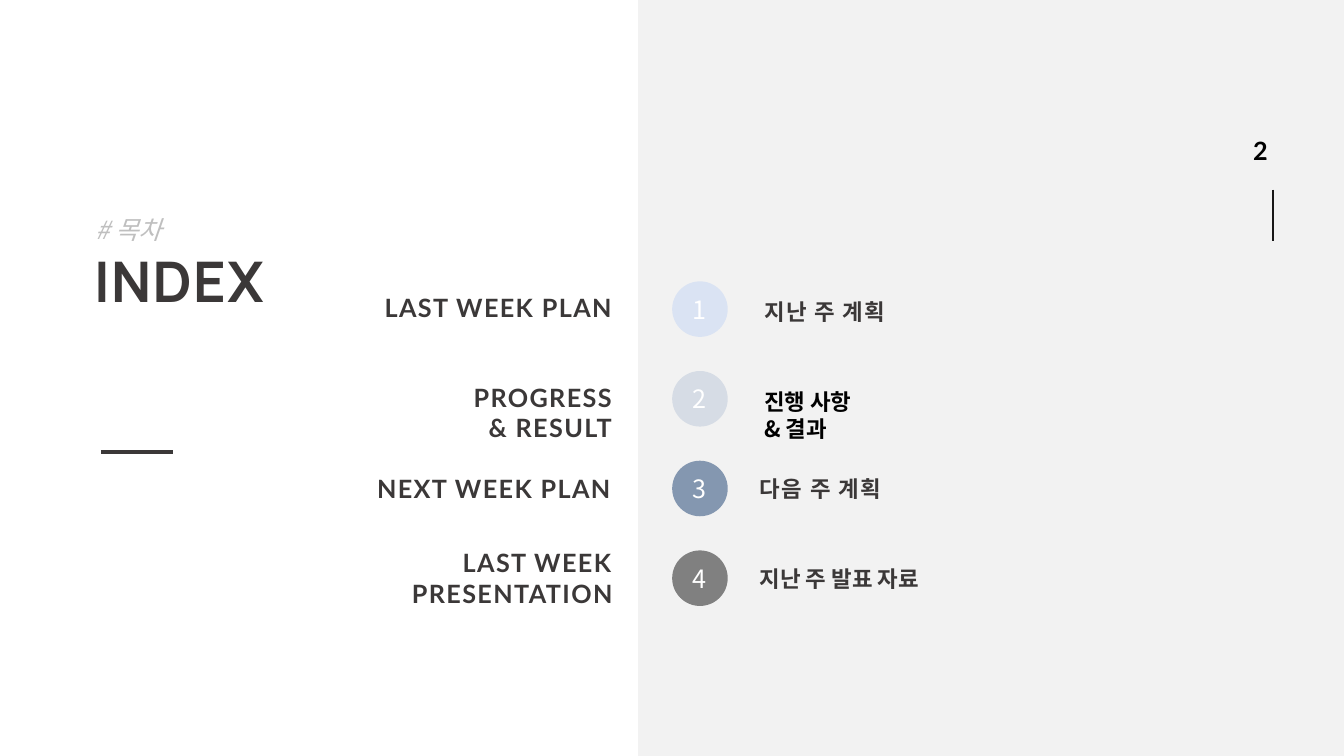
from dataclasses import dataclass

from lxml.etree import SubElement
from pptx import Presentation
from pptx.dml.color import RGBColor
from pptx.enum.shapes import MSO_CONNECTOR, MSO_SHAPE
from pptx.enum.text import MSO_ANCHOR, MSO_AUTO_SIZE, PP_ALIGN
from pptx.oxml.ns import qn
from pptx.shapes.autoshape import Shape
from pptx.slide import Slide
from pptx.util import Cm, Pt


@dataclass(frozen=True)
class Theme:
    ink: str = "3B3838"
    black: str = "000000"
    white: str = "FFFFFF"
    panel: str = "F2F2F2"
    muted: str = "BFBFBF"
    marker: str = "181717"
    latin: str = "Lato"
    korean: str = "Noto Sans CJK KR"
    heading: str = "Manrope"
    title_size: float = 40
    label_size: float = 18
    korean_size: float = 16
    inset: float = 0.13


@dataclass(frozen=True)
class Box:
    left: float
    top: float
    width: float
    height: float


@dataclass(frozen=True)
class TextStyle:
    font: str
    size: float
    color: str
    bold: bool = False
    italic: bool = False
    tracking: float = 0
    align: PP_ALIGN = PP_ALIGN.LEFT


@dataclass(frozen=True)
class Entry:
    english: str
    korean: str
    fill: str
    english_right: float
    english_drop: float
    korean_left: float
    korean_drop: float
    korean_color: str
    korean_tracking: float


THEME = Theme()
ROW_TOP, ROW_STEP = 7.09, 2.26
CIRCLE_LEFT, CIRCLE_SIZE = 16.94, 1.4
ENGLISH_WIDTH, KOREAN_WIDTH = 8.45, 6.8

TITLE = TextStyle(THEME.heading, THEME.title_size, THEME.ink, bold=True, tracking=1)
TAG = TextStyle(THEME.korean, THEME.label_size, THEME.muted, italic=True)
PAGE = TextStyle(THEME.latin, THEME.label_size, THEME.black, bold=True)
NUMBER = TextStyle(THEME.korean, THEME.label_size, THEME.white, align=PP_ALIGN.CENTER)
ENGLISH = TextStyle(THEME.latin, THEME.label_size, THEME.ink, bold=True,
                    tracking=1, align=PP_ALIGN.RIGHT)

ENTRIES = [
    Entry("LAST WEEK PLAN", "지난 주 계획", "DAE3F3",
          15.55, 0.15, 19.13, 0.3, THEME.ink, 1),
    Entry("PROGRESS\n& RESULT", "진행 사항\n& 결과", "D6DCE5",
          15.55, 0.15, 19.13, 0.3, THEME.black, 0),
    Entry("NEXT WEEK PLAN", "다음 주 계획", "8497B0",
          15.52, 0.18, 19.02, 0.23, THEME.ink, 1),
    Entry("LAST WEEK PRESENTATION", "지난 주 발표 자료", "808080",
          15.57, -0.2, 19.02, 0.23, THEME.ink, 0),
]


def write(sp: Shape, text: str, style: TextStyle,
          anchor: MSO_ANCHOR = MSO_ANCHOR.TOP, wrap: bool = True) -> None:
    tf = sp.text_frame
    tf.text = text
    tf.word_wrap = wrap
    tf.auto_size = MSO_AUTO_SIZE.NONE
    tf.vertical_anchor = anchor
    tf.margin_left = tf.margin_right = Cm(THEME.inset)
    tf.margin_top = tf.margin_bottom = Cm(THEME.inset)
    for p in tf.paragraphs:
        p.alignment = style.align
        for r in p.runs:
            r.font.size = Pt(style.size)
            r.font.bold = style.bold
            r.font.italic = style.italic
            r.font.color.rgb = RGBColor.from_string(style.color)
            r.font.name = style.font
            props = r.font._element
            SubElement(props, qn("a:ea")).set("typeface", style.font)
            if style.tracking:
                props.set("spc", str(int(style.tracking * 100)))


def add_text(s: Slide, box: Box, text: str, style: TextStyle, wrap: bool = True) -> Shape:
    sp = s.shapes.add_textbox(Cm(box.left), Cm(box.top), Cm(box.width), Cm(box.height))
    write(sp, text, style, wrap=wrap)
    return sp


def add_filled(s: Slide, kind: MSO_SHAPE, box: Box, color: str) -> Shape:
    sp = s.shapes.add_shape(kind, Cm(box.left), Cm(box.top), Cm(box.width), Cm(box.height))
    sp.shadow.inherit = False
    sp.fill.solid()
    sp.fill.fore_color.rgb = RGBColor.from_string(color)
    sp.line.fill.background()
    return sp


def add_rule(s: Slide, x1: float, y1: float, x2: float, y2: float,
             color: str, weight: float) -> None:
    line = s.shapes.add_connector(MSO_CONNECTOR.STRAIGHT, Cm(x1), Cm(y1), Cm(x2), Cm(y2))
    line.line.color.rgb = RGBColor.from_string(color)
    line.line.width = Pt(weight)
    SubElement(line._element.spPr, qn("a:effectLst"))


def add_title(s: Slide, box: Box, text: str) -> None:
    sp = s.shapes.title
    sp.left, sp.top = Cm(box.left), Cm(box.top)
    sp.width, sp.height = Cm(box.width), Cm(box.height)
    write(sp, text, TITLE)
    sp.text_frame.paragraphs[0].line_spacing = 0.9


def add_entry(s: Slide, index: int, entry: Entry) -> None:
    top = ROW_TOP + index * ROW_STEP
    circle = add_filled(s, MSO_SHAPE.OVAL,
                        Box(CIRCLE_LEFT, top, CIRCLE_SIZE, CIRCLE_SIZE), entry.fill)
    write(circle, str(index + 1), NUMBER, MSO_ANCHOR.MIDDLE, wrap=False)
    english_height = 1.8 if index % 2 else 1.04
    add_text(s, Box(entry.english_right - ENGLISH_WIDTH, top + entry.english_drop,
                    ENGLISH_WIDTH, english_height), entry.english, ENGLISH)
    korean = TextStyle(THEME.korean, THEME.korean_size, entry.korean_color,
                       bold=True, tracking=entry.korean_tracking)
    korean_height = 1.68 if "\n" in entry.korean else 0.97
    add_text(s, Box(entry.korean_left, top + entry.korean_drop,
                    KOREAN_WIDTH, korean_height), entry.korean, korean)


def main() -> None:
    prs = Presentation()
    prs.slide_width, prs.slide_height = Cm(33.87), Cm(19.05)
    s = prs.slides.add_slide(prs.slide_layouts[5])
    add_filled(s, MSO_SHAPE.RECTANGLE, Box(16.08, 0, 17.79, 19.05), THEME.panel)
    add_rule(s, 32.08, 4.78, 32.08, 6.07, THEME.marker, 1.5)
    add_text(s, Box(31.45, 3.28, 0.64, 1.04), "2", PAGE, wrap=False)
    add_title(s, Box(2.24, 6.27, 9.02, 3.76), "INDEX")
    add_rule(s, 2.54, 11.4, 4.37, 11.4, THEME.ink, 2.75)
    tag = add_text(s, Box(2.29, 5.41, 11, 1.04), "# 목차", TAG)
    tag.text_frame.paragraphs[0].line_spacing = Pt(18)
    for index, entry in enumerate(ENTRIES):
        add_entry(s, index, entry)
    prs.save("out.pptx")


if __name__ == "__main__":
    main()
